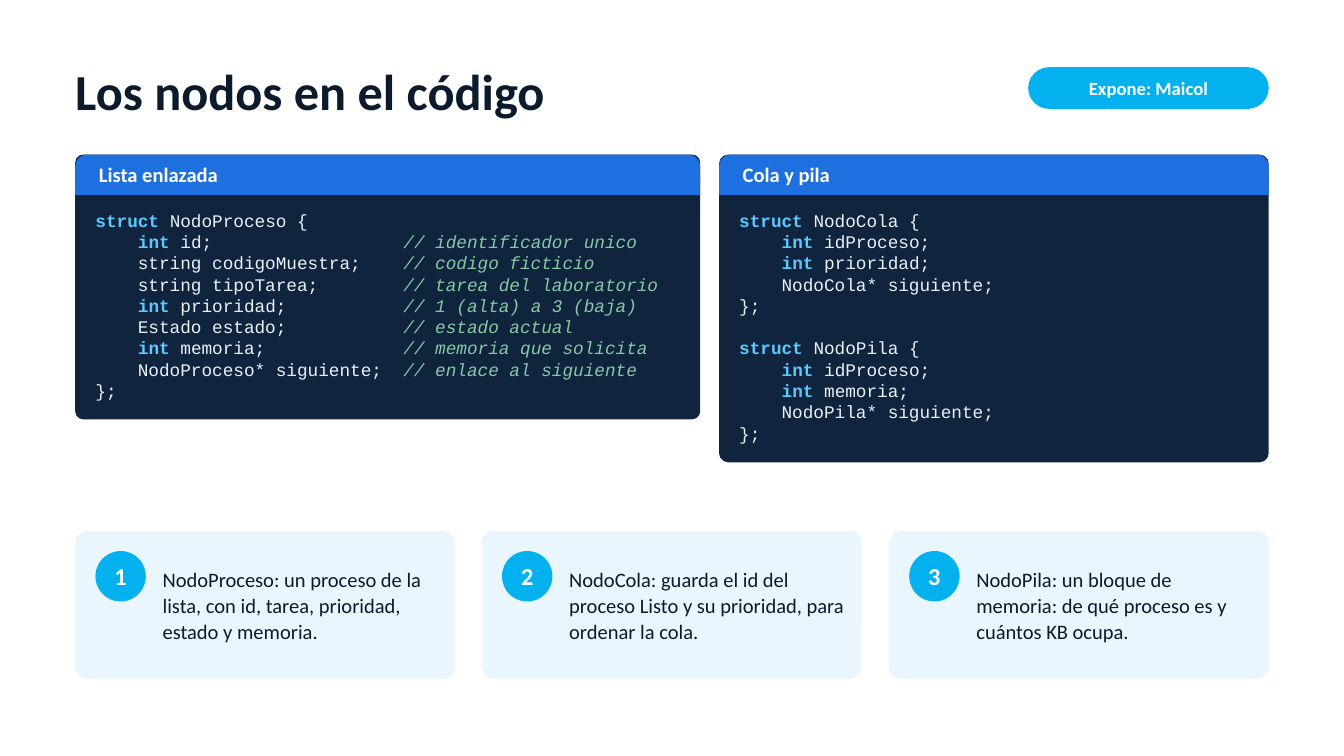
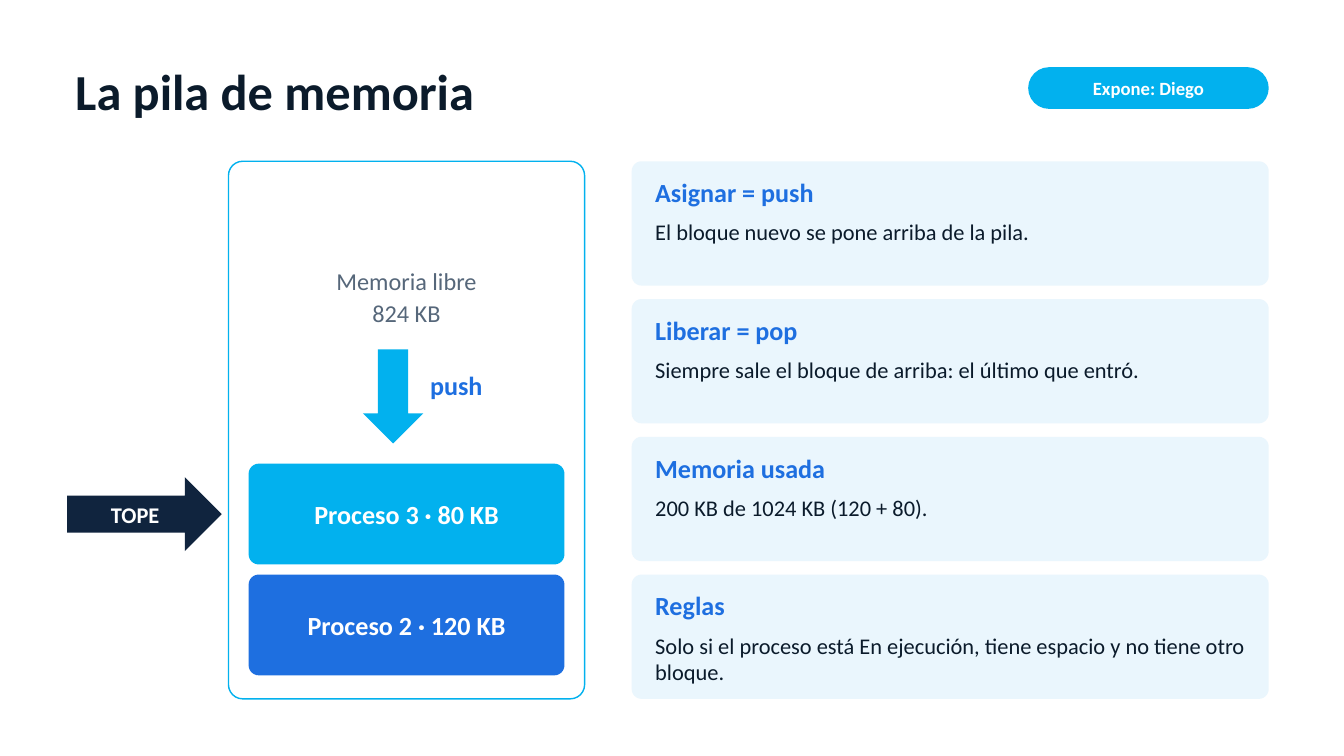
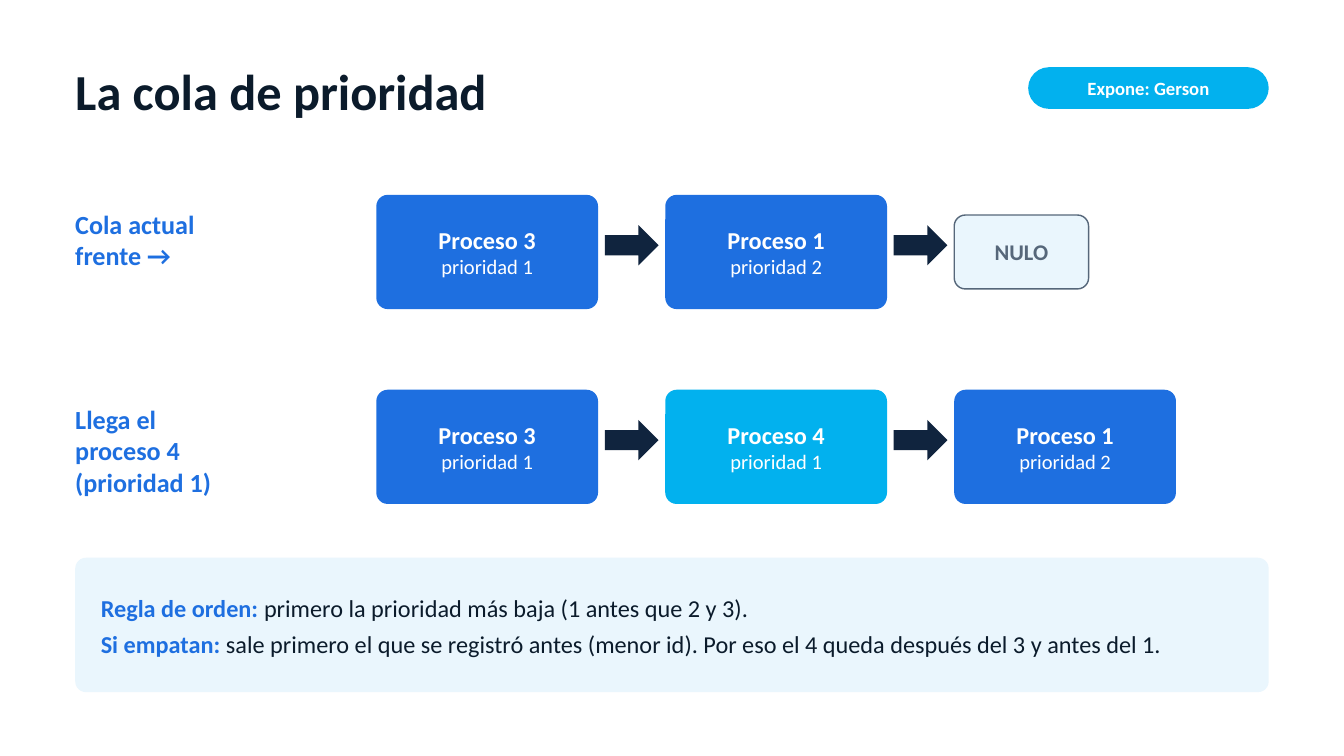
from dataclasses import dataclass

from pptx import Presentation
from pptx import util as u
from pptx.dml import color as colors
from pptx.enum import shapes, text

PX = 9144


@dataclass(frozen=True)
class Theme:
    ink: str = "0B1B2B"
    navy: str = "10243E"
    blue: str = "1E6FE0"
    cyan: str = "02B1EE"
    pale: str = "EAF6FD"
    slate: str = "56677A"
    white: str = "FFFFFF"
    code: str = "E8F1FA"
    keyword: str = "5CC8FF"
    comment: str = "86C9A6"
    sans: str = "Calibri"
    mono: str = "Courier New"
    title: int = 54
    heading: int = 28
    large: int = 26
    medium: int = 24
    small: int = 22
    tag: int = 20
    listing: int = 19


@dataclass(frozen=True)
class Box:
    left: int
    top: int
    width: int
    height: int

    def inner(self, left, top, width, height):
        return Box(self.left + left, self.top + top, width, height)

    def emu(self):
        return [side * PX for side in (self.left, self.top, self.width, self.height)]


THEME = Theme()
KIND = shapes.MSO_SHAPE
LEFT, CENTER = text.PP_ALIGN.LEFT, text.PP_ALIGN.CENTER
TOP, MIDDLE = text.MSO_ANCHOR.TOP, text.MSO_ANCHOR.MIDDLE
LABEL_INSET = (10, 3, 10, 3)
MARGIN, CONTENT_WIDTH = 112, 1776

LIST_CODE = """struct NodoProceso {
    int id;                  // identificador unico
    string codigoMuestra;    // codigo ficticio
    string tipoTarea;        // tarea del laboratorio
    int prioridad;           // 1 (alta) a 3 (baja)
    Estado estado;           // estado actual
    int memoria;             // memoria que solicita
    NodoProceso* siguiente;  // enlace al siguiente
};"""

QUEUE_CODE = """struct NodoCola {
    int idProceso;
    int prioridad;
    NodoCola* siguiente;
};

struct NodoPila {
    int idProceso;
    int memoria;
    NodoPila* siguiente;
};"""


def rgb(value):
    return colors.RGBColor.from_string(value)


def write(shape, content, size, color=THEME.ink, font=THEME.sans, bold=False, align=LEFT,
          anchor=TOP, inset=(0, 0, 0, 0), leading=None, after=None):
    frame = shape.text_frame
    frame.word_wrap = True
    frame.vertical_anchor = anchor
    frame.margin_left, frame.margin_top, frame.margin_right, frame.margin_bottom = (
        side * PX for side in inset)
    lines = content.split("\n") if isinstance(content, str) else content
    for index, line in enumerate(lines):
        para = frame.add_paragraph() if index else frame.paragraphs[0]
        para.alignment = align
        if leading:
            para.line_spacing = leading
        if after:
            para.space_after = u.Pt(after)
        for words, changes in [(line, {})] if isinstance(line, str) else line:
            span = para.add_run()
            span.text = words
            span.font.name = font
            span.font.size = u.Pt(changes.get("size", size))
            span.font.bold = changes.get("bold", bold)
            span.font.italic = changes.get("italic", False)
            span.font.color.rgb = rgb(changes.get("color", color))


def add_text(page, box, content, size, **style):
    shape = page.shapes.add_textbox(*box.emu())
    write(shape, content, size, **style)
    shape.text_frame.auto_size = text.MSO_AUTO_SIZE.SHAPE_TO_FIT_TEXT


def add_block(page, box, fill, kind=KIND.ROUNDED_RECTANGLE, corner=None, outline=None):
    shape = page.shapes.add_shape(kind, *box.emu())
    shape.shadow.inherit = False
    shape.fill.solid()
    shape.fill.fore_color.rgb = rgb(fill)
    if corner is not None:
        shape.adjustments[0] = corner
    if outline:
        shape.line.color.rgb = rgb(outline)
        shape.line.width = u.Pt(1.5)
    else:
        shape.line.fill.background()
    return shape


def add_label(page, box, content, size, fill, color=THEME.white, **look):
    shape = add_block(page, box, fill, **look)
    write(shape, content, size, color=color, bold=True, align=CENTER, anchor=MIDDLE,
          inset=LABEL_INSET)


def add_page(deck, title, speaker):
    page = deck.slides.add_slide(deck.slide_layouts[6])
    add_text(page, Box(MARGIN, 70, 1400, 130), title, THEME.title, bold=True, anchor=MIDDLE)
    add_label(page, Box(1530, 100, 358, 62), f"Expone: {speaker}", THEME.tag, THEME.cyan,
              corner=0.5)
    return page


def highlight(line):
    code, slashes, comment = line.partition("//")
    body = code.lstrip(" ")
    indent = code[:len(code) - len(body)]
    word = next((word for word in ("struct ", "int ") if body.startswith(word)), "")
    spans = [(indent, {}), (word, {"color": THEME.keyword, "bold": True}),
             (body[len(word):], {}),
             (slashes + comment, {"color": THEME.comment, "italic": True})]
    return [span for span in spans if span[0]] or [(" ", {})]


def code_panel(page, box, heading, code):
    add_block(page, box, THEME.navy, corner=0.03)
    add_block(page, box.inner(0, 35, box.width, 25), THEME.blue, kind=KIND.RECTANGLE)
    header = add_block(page, box.inner(0, 0, box.width, 60), THEME.blue, corner=0.3)
    write(header, heading, THEME.small, color=THEME.white, bold=True, anchor=MIDDLE,
          inset=(30, 3, 10, 3))
    add_text(page, box.inner(30, 82, box.width - 45, box.height - 104),
             [highlight(line) for line in code.split("\n")], THEME.listing,
             color=THEME.code, font=THEME.mono)


def numbered_card(page, box, number, content):
    add_block(page, box, THEME.pale, corner=0.08)
    add_label(page, box.inner(30, 30, 75, 75), str(number), THEME.large, THEME.cyan,
              kind=KIND.OVAL)
    add_text(page, box.inner(130, 20, 410, 180), content, THEME.small, anchor=MIDDLE,
             leading=1.05)


def fact_card(page, box, heading, content):
    add_block(page, box, THEME.pale, corner=0.08)
    add_text(page, box.inner(35, 18, 880, 60), heading, THEME.heading, color=THEME.blue,
             bold=True, leading=1.1)
    add_text(page, box.inner(35, 85, 880, 90), content, THEME.medium)


def memory_stack(page, box):
    add_block(page, box, THEME.white, corner=0.04, outline=THEME.cyan)
    add_text(page, box.inner(20, 120, 490, 160), "Memoria libre\n824 KB", THEME.large,
             color=THEME.slate, align=CENTER, anchor=MIDDLE, leading=1.1)
    processes = [("Proceso 3 · 80 KB", THEME.cyan), ("Proceso 2 · 120 KB", THEME.blue)]
    for index, (label, fill) in enumerate(processes):
        add_label(page, box.inner(30, 450 + index * 165, 470, 150), label, THEME.heading, fill,
                  corner=0.1)
    add_label(page, box.inner(-240, 470, 230, 110), "TOPE", THEME.medium, THEME.navy,
              kind=KIND.RIGHT_ARROW)
    add_block(page, box.inner(200, 280, 90, 140), THEME.cyan, kind=KIND.DOWN_ARROW)
    add_text(page, box.inner(300, 305, 300, 90), "push", THEME.heading, color=THEME.blue,
             bold=True, leading=1.1)


def queue_row(page, box, caption, nodes):
    add_text(page, box.inner(0, 20, 430, 120), caption, THEME.heading, color=THEME.blue,
             bold=True)
    step = 430
    for index, node in enumerate(nodes):
        left = 448 + index * step
        if index:
            add_block(page, box.inner(left - 90, 45, 80, 60), THEME.navy,
                      kind=KIND.RIGHT_ARROW)
        if node is None:
            add_label(page, box.inner(left, 30, 200, 110), "NULO", THEME.medium, THEME.pale,
                      color=THEME.slate, corner=0.15, outline=THEME.slate)
            continue
        process, priority, fill = node
        lines = [f"Proceso {process}",
                 [(f"prioridad {priority}", {"size": THEME.small, "bold": False})]]
        add_label(page, box.inner(left, 0, 330, box.height), lines, THEME.large, fill,
                  corner=0.1)


def rules_band(page, box, rules):
    add_block(page, box, THEME.pale, corner=0.08)
    lines = [[(name, {"color": THEME.blue, "bold": True}), (rule, {})] for name, rule in rules]
    add_text(page, box.inner(38, 15, 1700, 170), lines, THEME.large, anchor=MIDDLE,
             leading=1.05, after=6)


def nodes_page(deck):
    page = add_page(deck, "Los nodos en el código", "Maicol")
    code_panel(page, Box(MARGIN, 230, 930, 394), "Lista enlazada", LIST_CODE)
    code_panel(page, Box(1070, 230, 818, 458), "Cola y pila", QUEUE_CODE)
    cards = [
        "NodoProceso: un proceso de la lista, con id, tarea, prioridad, estado y memoria.",
        "NodoCola: guarda el id del proceso Listo y su prioridad, para ordenar la cola.",
        "NodoPila: un bloque de memoria: de qué proceso es y cuántos KB ocupa.",
    ]
    width = 565
    for index, content in enumerate(cards):
        left = MARGIN + index * (CONTENT_WIDTH - width) // 2
        numbered_card(page, Box(left, 790, width, 220), index + 1, content)


def stack_page(deck):
    page = add_page(deck, "La pila de memoria", "Diego")
    memory_stack(page, Box(340, 240, 530, 800))
    facts = [
        ("Asignar = push", "El bloque nuevo se pone arriba de la pila."),
        ("Liberar = pop", "Siempre sale el bloque de arriba: el último que entró."),
        ("Memoria usada", "200 KB de 1024 KB (120 + 80)."),
        ("Reglas", "Solo si el proceso está En ejecución, tiene espacio y no tiene otro bloque."),
    ]
    for index, (heading, content) in enumerate(facts):
        fact_card(page, Box(940, 240 + index * 205, 948, 185), heading, content)


def queue_page(deck):
    page = add_page(deck, "La cola de prioridad", "Gerson")
    first, last = (3, 1, THEME.blue), (1, 2, THEME.blue)
    queue_row(page, Box(MARGIN, 290, CONTENT_WIDTH, 170), "Cola actual\nfrente →",
              [first, last, None])
    queue_row(page, Box(MARGIN, 580, CONTENT_WIDTH, 170),
              "Llega el\nproceso 4\n(prioridad 1)", [first, (4, 1, THEME.cyan), last])
    rules_band(page, Box(MARGIN, 830, CONTENT_WIDTH, 200), [
        ("Regla de orden: ", "primero la prioridad más baja (1 antes que 2 y 3)."),
        ("Si empatan: ", "sale primero el que se registró antes (menor id). "
                         "Por eso el 4 queda después del 3 y antes del 1."),
    ])


def main():
    deck = Presentation()
    deck.slide_width, deck.slide_height = 2000 * PX, 1125 * PX
    nodes_page(deck)
    stack_page(deck)
    queue_page(deck)
    deck.save("out.pptx")


if __name__ == "__main__":
    main()
